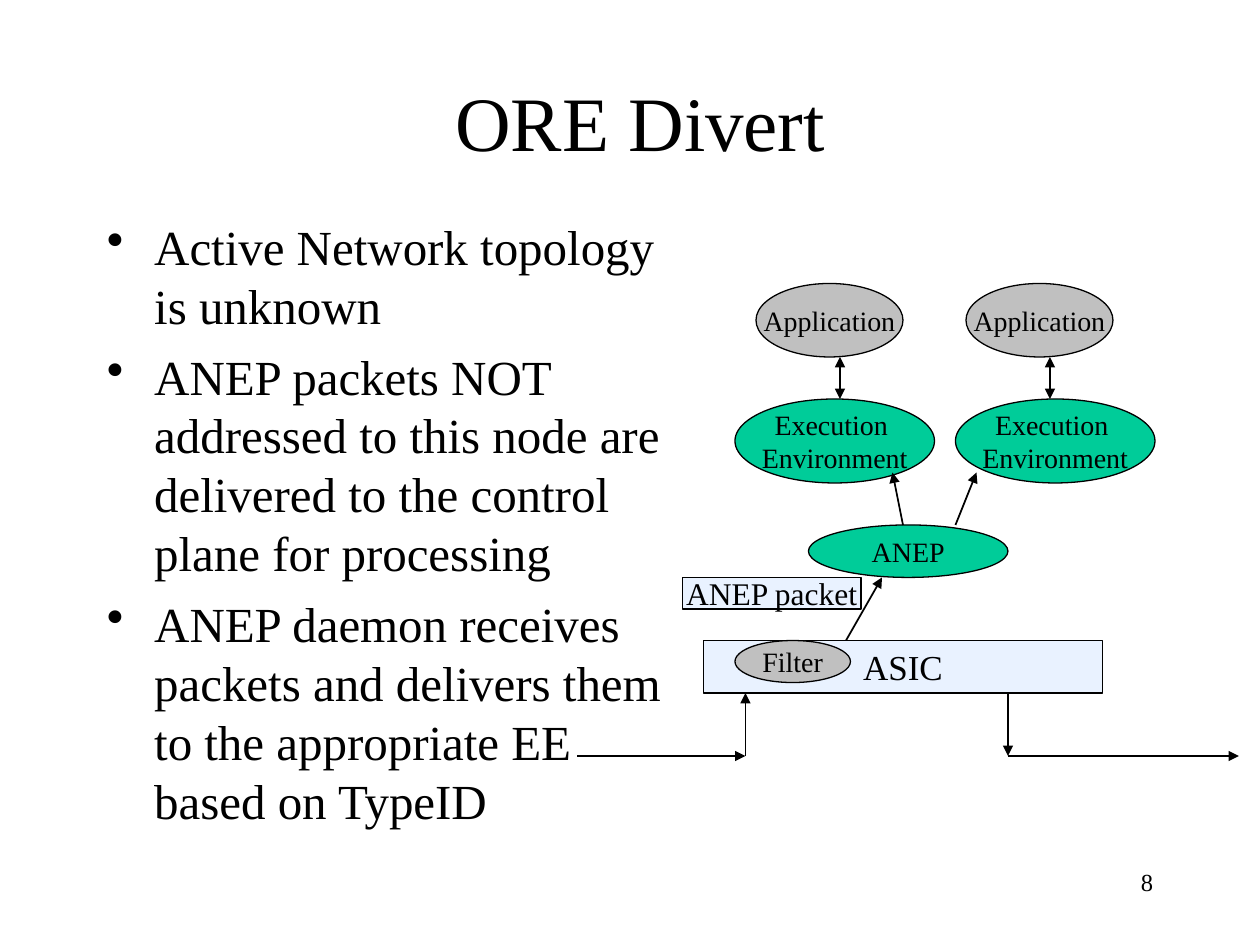
"""Build the ORE Divert slide: bullet points beside a packet path diagram."""
import pptx
import pptx.dml.color
import pptx.enum.shapes
import pptx.enum.text
import pptx.oxml
import pptx.oxml.ns
import pptx.util
from dataclasses import dataclass
from lxml import etree


@dataclass(frozen=True)
class Theme:
    font: str = "Times New Roman"
    ink: str = "000000"
    grey: str = "C0C0C0"
    green: str = "00CC99"
    pale: str = "E9F2FF"
    title: int = 44
    body: int = 28
    chip: int = 20
    packet: int = 18
    node: int = 16
    number: int = 14
    outline: float = 0.75
    stroke: float = 1


THEME = Theme()
PX = 9525
SLIDE_SIZE = (960, 720)
SHAPES = pptx.enum.shapes.MSO_SHAPE
ALIGN = pptx.enum.text.PP_ALIGN
ANCHOR = pptx.enum.text.MSO_ANCHOR

TITLE = ("ORE Divert", (80, 32, 816, 120))
POINTS = [
    "Active Network topology is unknown",
    "ANEP packets NOT addressed to this node are delivered to the control plane for processing",
    "ANEP daemon receives packets and delivers them to the appropriate EE based on TypeID",
]
POINTS_BOX = (72, 160, 448, 496)
BULLET_INDENT = 36
NUMBER = ("8", (688, 656, 200, 48))

BLOCKS = [
    (["ASIC"], (536, 488, 304, 40), THEME.pale, THEME.chip),
    (["ANEP packet"], (520, 440, 136, 24), THEME.pale, THEME.packet),
]
APPLICATIONS = [(["Application"], (left, 216, 112, 56), THEME.grey) for left in (576, 736)]
ENVIRONMENTS = [(["Execution ", "Environment"], (left, 304, 152, 64), THEME.green)
                for left in (560, 728)]
NODES = APPLICATIONS + ENVIRONMENTS + [
    (["ANEP"], (616, 400, 152, 40), THEME.green),
    (["Filter"], (560, 488, 88, 32), THEME.grey),
]
DIVERT = (640, 496, 672, 440)
FLOWS = [
    (440, 576, 568, 576),
    (568, 576, 568, 528),
    (768, 528, 768, 576),
    (768, 576, 944, 576),
    (688, 400, 680, 360),
    (728, 400, 744, 360),
]
EXCHANGES = [(x, 304, x, 272) for x in (640, 800)]


def emu(lengths):
    return [length * PX for length in lengths]


def rgb(value):
    return pptx.dml.color.RGBColor.from_string(value)


def assign(target, **values):
    for key, value in values.items():
        setattr(target, key, value)


def write(frame, lines, size, alignment, **frame_format):
    assign(frame, **frame_format)
    frame.text = "\n".join(lines)
    for paragraph in frame.paragraphs:
        paragraph.alignment = alignment
        assign(paragraph.font, name=THEME.font, size=pptx.util.Pt(size))
        paragraph.font.color.rgb = rgb(THEME.ink)


def add_block(slide, kind, lines, box, fill, size, width):
    block = slide.shapes.add_shape(kind, *emu(box))
    block.shadow.inherit = False
    block.fill.solid()
    block.fill.fore_color.rgb = rgb(fill)
    block.line.color.rgb = rgb(THEME.ink)
    block.line.width = pptx.util.Pt(width)
    write(block.text_frame, lines, size, ALIGN.CENTER,
          word_wrap=False, vertical_anchor=ANCHOR.MIDDLE)


def add_arrow(slide, ends, heads=("tailEnd",)):
    arrow = slide.shapes.add_connector(pptx.enum.shapes.MSO_CONNECTOR.STRAIGHT, *emu(ends))
    arrow.line.color.rgb = rgb(THEME.ink)
    arrow.line.width = pptx.util.Pt(THEME.stroke)
    stroke = arrow.line._get_or_add_ln()
    for head in heads:
        etree.SubElement(stroke, pptx.oxml.ns.qn(f"a:{head}"), type="triangle")
    etree.SubElement(arrow._element.spPr, pptx.oxml.ns.qn("a:effectLst"))


def add_points(slide):
    points = slide.shapes.add_textbox(*emu(POINTS_BOX)).text_frame
    write(points, POINTS, THEME.body, ALIGN.LEFT, word_wrap=True)
    for index, paragraph in enumerate(points.paragraphs):
        paragraph.space_before = pptx.util.Pt(7 if index else 0)
        properties = paragraph._p.get_or_add_pPr()
        properties.set("marL", str(BULLET_INDENT * PX))
        properties.set("indent", str(-BULLET_INDENT * PX))
        bullet = pptx.oxml.parse_xml(
            f'<a:buChar {pptx.oxml.ns.nsdecls("a")} char="•"/>')
        properties.insert_element_before(bullet, "a:tabLst", "a:defRPr", "a:extLst")


def main():
    deck = pptx.Presentation()
    deck.slide_width, deck.slide_height = emu(SLIDE_SIZE)
    slide = deck.slides.add_slide(deck.slide_layouts[5])

    heading, heading_box = TITLE
    title = slide.shapes.title
    assign(title, **dict(zip(("left", "top", "width", "height"), emu(heading_box))))
    write(title.text_frame, [heading], THEME.title, ALIGN.CENTER,
          word_wrap=True, vertical_anchor=ANCHOR.MIDDLE)
    add_points(slide)

    add_arrow(slide, DIVERT)
    for lines, box, fill, size in BLOCKS:
        add_block(slide, SHAPES.RECTANGLE, lines, box, fill, size, THEME.stroke)
    for lines, box, fill in NODES:
        add_block(slide, SHAPES.OVAL, lines, box, fill, THEME.node, THEME.outline)
    for ends in FLOWS:
        add_arrow(slide, ends)
    for ends in EXCHANGES:
        add_arrow(slide, ends, ("headEnd", "tailEnd"))

    number, number_box = NUMBER
    write(slide.shapes.add_textbox(*emu(number_box)).text_frame, [number],
          THEME.number, ALIGN.RIGHT, word_wrap=True)
    deck.save("out.pptx")


if __name__ == "__main__":
    main()
